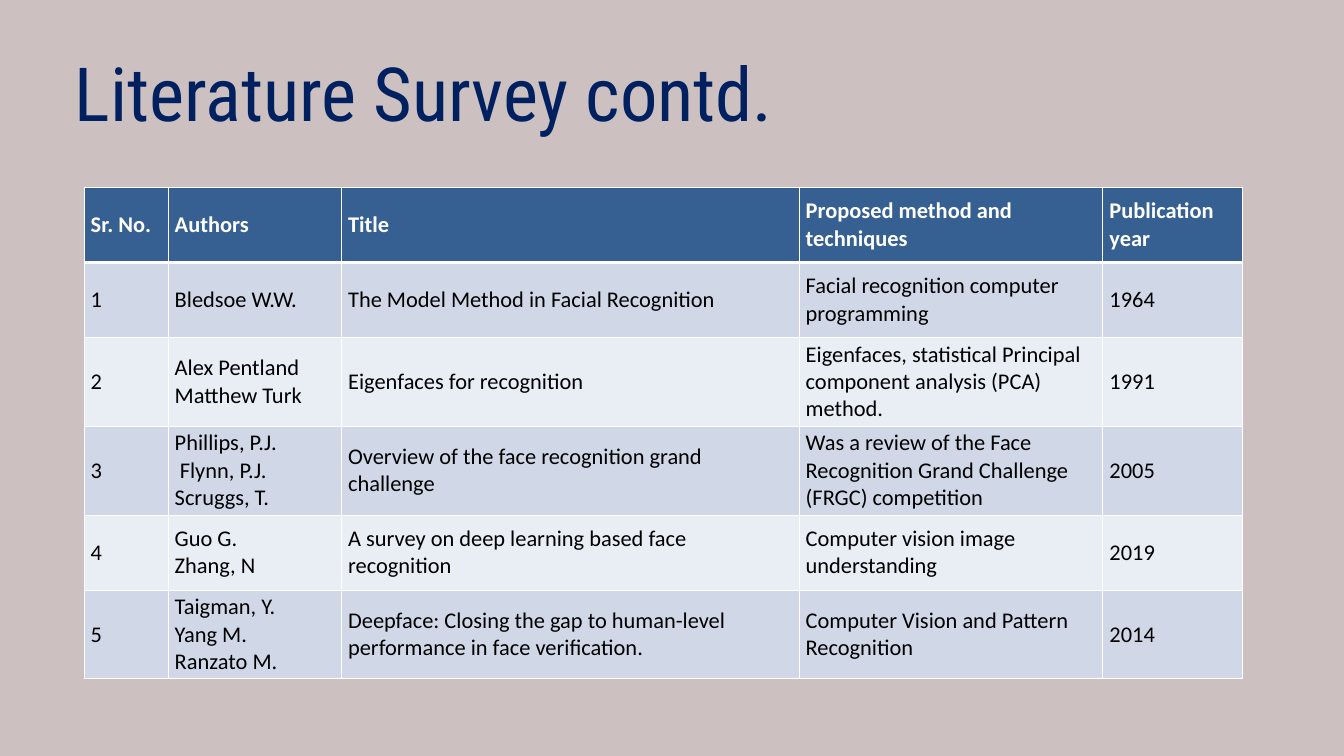
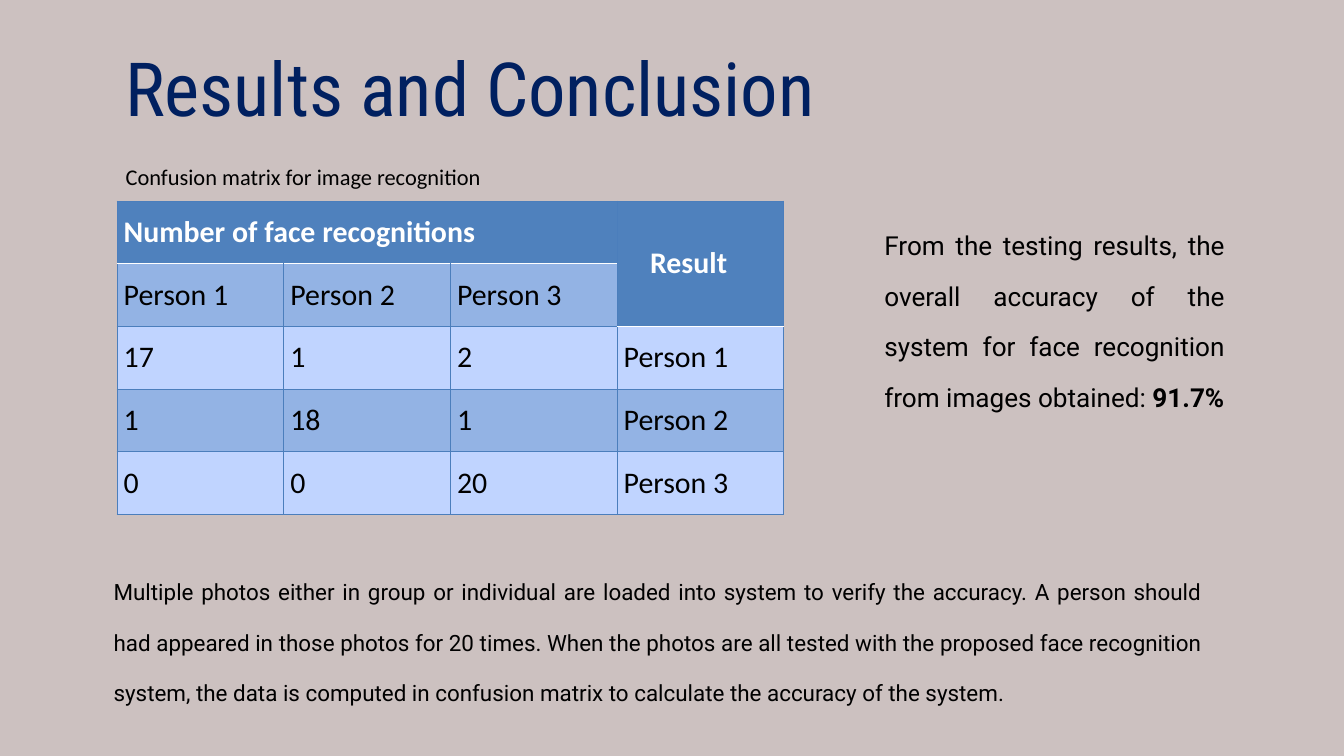
from dataclasses import dataclass

from lxml import etree
from pptx import Presentation
from pptx.dml.color import RGBColor
from pptx.enum.text import MSO_ANCHOR, MSO_AUTO_SIZE, PP_ALIGN
from pptx.oxml.ns import qn
from pptx.util import Pt

TOP, MIDDLE = MSO_ANCHOR.TOP, MSO_ANCHOR.MIDDLE
LEFT, CENTER, JUSTIFY = PP_ALIGN.LEFT, PP_ALIGN.CENTER, PP_ALIGN.JUSTIFY
NO_AUTOFIT = MSO_AUTO_SIZE.NONE
TITLE_ONLY = 5


@dataclass(frozen=True)
class Theme:
    background: str = "CCC1C0"
    title: str = "002060"
    text: str = "000000"
    white: str = "FFFFFF"
    title_font: str = "Roboto Condensed"
    body_font: str = "Roboto"
    table_font: str = "Calibri"
    title_size: float = 80
    large_size: float = 32
    lead_size: float = 28
    small_size: float = 24
    title_spacing: float = 76.8
    body_spacing: float = 54.2


@dataclass(frozen=True)
class TableStyle:
    header: str
    bands: tuple
    line: str
    line_width: float
    rule_width: float
    size: float


THEME = Theme()
SURVEY_STYLE = TableStyle("376092", ("D0D8E8", "E9EDF4"), THEME.white, 1, 3, THEME.small_size)
MATRIX_STYLE = TableStyle("4F81BD", ("93B3E4", "C0D4FF"), "4B7EBC", 0.75, 2, THEME.large_size)

SURVEY = [
    ["Sr. No.", "Authors", "Title", "Proposed method and techniques", "Publication year"],
    ["1", "Bledsoe W.W.", "The Model Method in Facial Recognition",
     "Facial recognition computer programming", "1964"],
    ["2", "Alex Pentland Matthew Turk", "Eigenfaces for recognition",
     "Eigenfaces, statistical Principal component analysis (PCA) method.", "1991"],
    ["3", "Phillips, P.J.\n Flynn, P.J.\nScruggs, T.",
     "Overview of the face recognition grand challenge",
     "Was a review of the Face Recognition Grand Challenge (FRGC) competition", "2005"],
    ["4", "Guo G.\nZhang, N", "A survey on deep learning based face recognition",
     "Computer vision image understanding", "2019"],
    ["5", "Taigman, Y.\nYang M.\nRanzato M.",
     "Deepface: Closing the gap to human-level performance in face verification.",
     "Computer Vision and Pattern Recognition", "2014"],
]
MATRIX = [
    ["Number of face recognitions", "", "", "Result"],
    ["Person 1", "Person 2", "Person 3", ""],
    ["17", "1", "2", "Person 1"],
    ["1", "18", "1", "Person 2"],
    ["0", "0", "20", "Person 3"],
]


def set_border(cell, side, color, width):
    line = etree.SubElement(cell._tc.get_or_add_tcPr(), qn(f"a:ln{side}"), w=str(Pt(width)))
    fill = etree.SubElement(line, qn("a:solidFill"))
    etree.SubElement(fill, qn("a:srgbClr"), val=color)


class Deck:
    def __init__(self, theme):
        self.theme = theme
        self.presentation = Presentation()
        self.presentation.slide_width = Pt(1440)
        self.presentation.slide_height = Pt(810)
        fill = self.presentation.slide_master.background.fill
        fill.solid()
        fill.fore_color.rgb = RGBColor.from_string(theme.background)
        self.slide = None

    def format_text(self, text_frame, font, size, color, bold=False, align=LEFT, spacing=None):
        for paragraph in text_frame.paragraphs:
            paragraph.alignment = align
            if spacing:
                paragraph.line_spacing = Pt(spacing)
            for run in paragraph.runs:
                run.font.name = font
                run.font.size = Pt(size)
                run.font.bold = bold
                run.font.color.rgb = RGBColor.from_string(color)

    def set_frame(self, text_frame, margin_x=0, margin_y=0):
        text_frame.word_wrap = True
        text_frame.auto_size = NO_AUTOFIT
        text_frame.vertical_anchor = TOP
        text_frame.margin_left = text_frame.margin_right = Pt(margin_x)
        text_frame.margin_top = text_frame.margin_bottom = Pt(margin_y)

    def add_slide(self, title, left, top, width):
        layout = self.presentation.slide_layouts[TITLE_ONLY]
        self.slide = self.presentation.slides.add_slide(layout)
        shape = self.slide.shapes.title
        shape.left, shape.top, shape.width, shape.height = Pt(left), Pt(top), Pt(width), Pt(78)
        shape.text_frame.text = title
        self.set_frame(shape.text_frame)
        theme = self.theme
        self.format_text(shape.text_frame, theme.title_font, theme.title_size, theme.title,
                         align=CENTER, spacing=theme.title_spacing)

    def add_caption(self, text, left, top, width):
        shape = self.slide.shapes.add_textbox(Pt(left), Pt(top), Pt(width), Pt(36))
        shape.text_frame.text = text
        self.set_frame(shape.text_frame, 7.2, 3.6)
        theme = self.theme
        self.format_text(shape.text_frame, theme.table_font, theme.small_size, theme.text)

    def add_body(self, text, left, top, width, lines, size, bold_ending=""):
        """Add a justified paragraph, optionally ending in a bold run."""
        theme = self.theme
        height = lines * theme.body_spacing
        shape = self.slide.shapes.add_textbox(Pt(left), Pt(top), Pt(width), Pt(height))
        self.set_frame(shape.text_frame)
        paragraph = shape.text_frame.paragraphs[0]
        paragraph.text = text
        if bold_ending:
            paragraph.add_run().text = bold_ending
        self.format_text(shape.text_frame, theme.body_font, size, theme.text,
                         align=JUSTIFY, spacing=theme.body_spacing)
        if bold_ending:
            paragraph.runs[-1].font.bold = True

    def add_table(self, rows, left, top, widths, heights, style, header_depths):
        """Add a styled table; header_depths counts the header rows of each column."""
        table = self.slide.shapes.add_table(
            len(rows), len(widths), Pt(left), Pt(top), Pt(sum(widths)), Pt(sum(heights))).table
        for column, width in zip(table.columns, widths):
            column.width = Pt(width)
        for row, height in zip(table.rows, heights):
            row.height = Pt(height)
        for row_index, texts in enumerate(rows):
            for column_index, text in enumerate(texts):
                cell = table.cell(row_index, column_index)
                depth = header_depths[column_index]
                self.format_cell(cell, text, row_index, depth, style)
        return table

    def format_cell(self, cell, text, row_index, depth, style):
        is_header = row_index < depth
        line = (style.line, style.line_width)
        rule = (self.theme.white, style.rule_width)
        set_border(cell, "L", *line)
        set_border(cell, "R", *line)
        set_border(cell, "T", *(rule if 0 < row_index <= depth else line))
        set_border(cell, "B", *(rule if is_header else line))
        fill = style.header if is_header else style.bands[(row_index - 1) % 2]
        cell.fill.solid()
        cell.fill.fore_color.rgb = RGBColor.from_string(fill)
        cell.vertical_anchor = MIDDLE
        cell.text_frame.text = text
        color = self.theme.white if is_header else self.theme.text
        self.format_text(cell.text_frame, self.theme.table_font, style.size, color, is_header)


def build_survey(deck):
    deck.add_slide("Literature Survey contd.", 57, 69, 795)
    deck.add_table(SURVEY, 90, 200.7, [90, 185.8, 490.3, 325.5, 150],
                   [80.5, 80.5, 80.5, 94.3, 80.5, 94.3], SURVEY_STYLE, [1] * 5)


def build_results(deck):
    deck.add_slide("Results and Conclusion", 114, 63.5, 780)
    table = deck.add_table(MATRIX, 125.3, 215.3, [178.6] * 4, [67.2] * 5,
                           MATRIX_STYLE, [1, 1, 1, 2])
    table.cell(0, 0).merge(table.cell(0, 2))
    result = table.cell(0, 3)
    result.merge(table.cell(1, 3))
    result.margin_left = Pt(35.5)
    deck.add_caption("Confusion matrix for image recognition", 127.5, 171.5, 720)
    deck.add_body("From the testing results, the overall accuracy of the system for face "
                  "recognition from images obtained: ",
                  947.5, 225.5, 364.5, 4, THEME.lead_size, bold_ending="91.7%")
    deck.add_body("Multiple photos either in group or individual are loaded into system to "
                  "verify the accuracy. A person should had appeared in those photos for 20 "
                  "times. When the photos are all tested with the proposed face recognition "
                  "system, the data is computed in confusion matrix to calculate the accuracy "
                  "of the system.", 121.7, 594.2, 1165.7, 3, THEME.small_size)


def main():
    deck = Deck(THEME)
    build_survey(deck)
    build_results(deck)
    deck.presentation.save("out.pptx")


if __name__ == "__main__":
    main()
